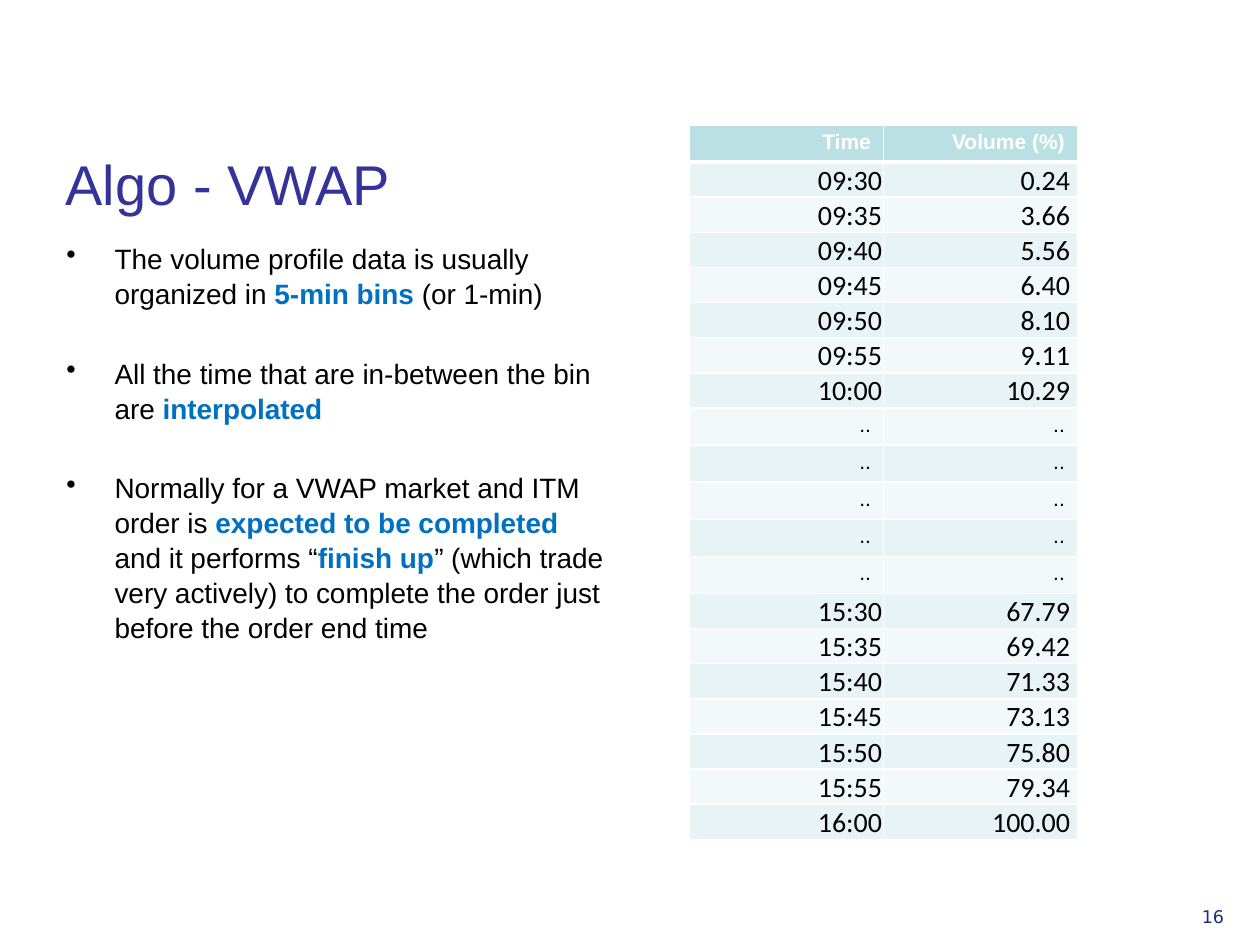
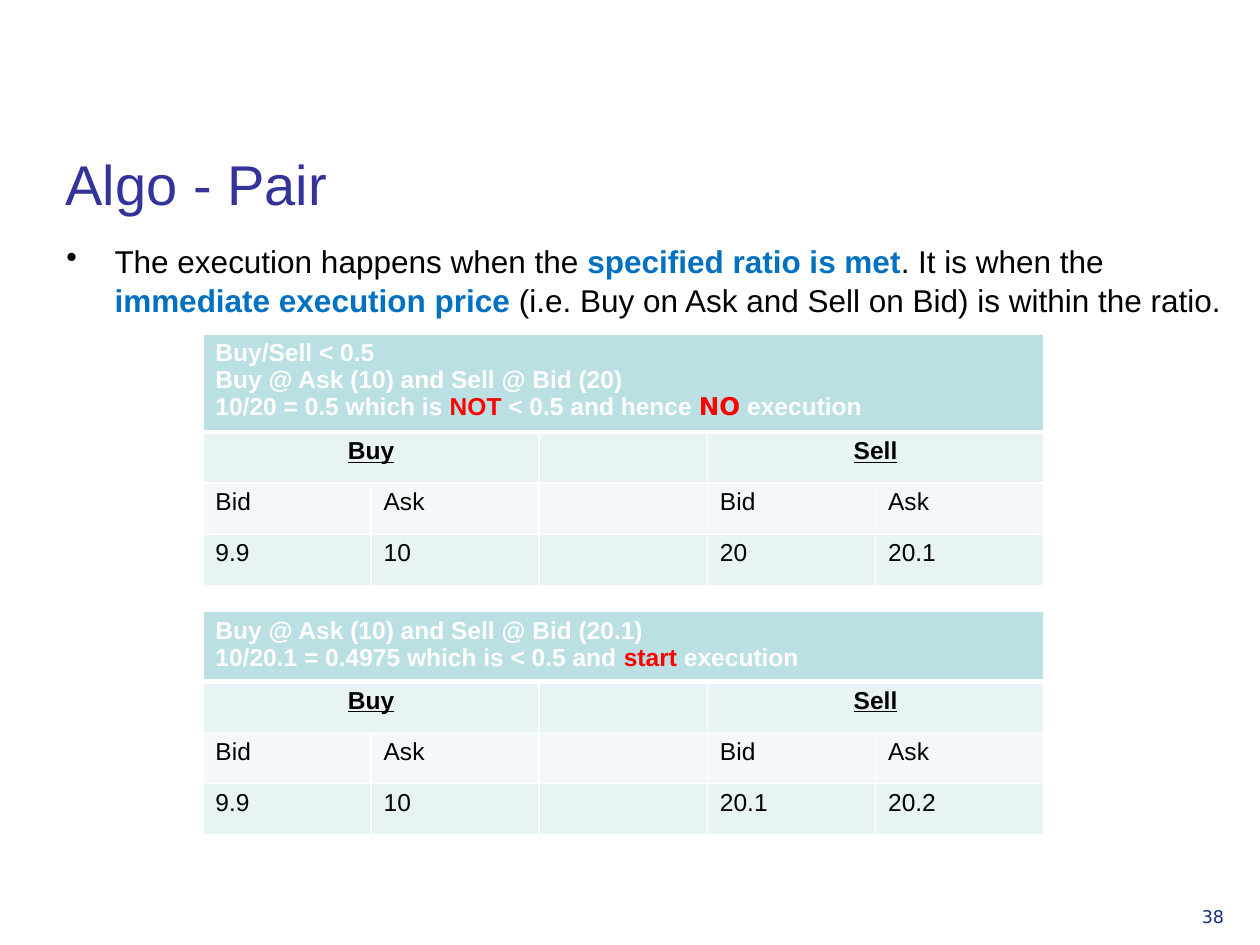
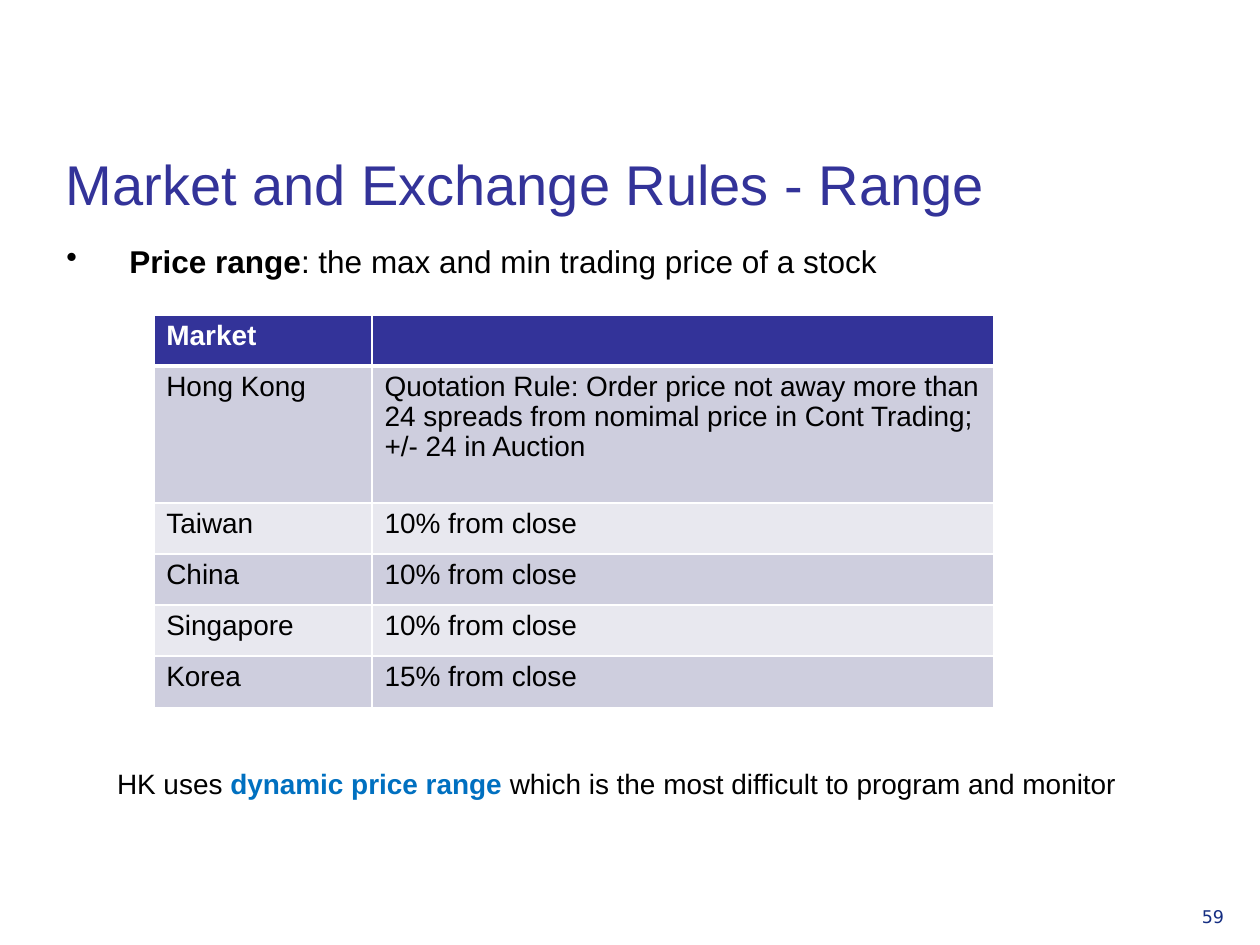
"""Build three slides on trading algorithms and market rules."""
from lxml.etree import SubElement
from pptx import Presentation
from pptx.dml.color import RGBColor
from pptx.enum.text import MSO_ANCHOR as Anchor, PP_ALIGN as Align
from pptx.oxml.ns import qn
from pptx.util import Cm, Pt

WHITE = RGBColor(0xFF, 0xFF, 0xFF)
BLACK = RGBColor(0, 0, 0)
INDIGO = RGBColor(0x33, 0x33, 0x99)
BLUE = RGBColor(0x00, 0x70, 0xC0)
RED = RGBColor(0xFF, 0, 0)
NAVY = RGBColor(0x15, 0x2E, 0x82)
TEAL = (RGBColor(0xBB, 0xE0, 0xE3), RGBColor(0xE7, 0xF3, 0xF4), RGBColor(0xF3, 0xF9, 0xFA))
VIOLET = (INDIGO, RGBColor(0xCE, 0xCE, 0xDE), RGBColor(0xE8, 0xE8, 0xEF))
SANS = "Arial"
NUMERIC = "Calibri"
WIDE = "DejaVu Sans"
ROW = 1.03


def set_font(p, size, color=BLACK, bold=False, name=SANS):
    """Set the font shared by the runs of a paragraph."""
    p.font.size = Pt(size)
    p.font.color.rgb = color
    p.font.bold = bold
    p.font.name = name


def write(p, parts, size, color=BLACK, bold=False, name=SANS):
    """Fill a paragraph with plain strings and (text, colour, font) emphasis."""
    set_font(p, size, color, bold, name)
    for part in [parts] if isinstance(parts, str) else parts:
        r = p.add_run()
        if isinstance(part, str):
            r.text = part
            continue
        r.text, r.font.color.rgb = part[:2]
        r.font.bold = True
        if len(part) > 2:
            r.font.name = part[2]


def add_text(s, left, top, width, height, wrap=True):
    """Add a text box and return its text frame."""
    tf = s.shapes.add_textbox(Cm(left), Cm(top), Cm(width), Cm(height)).text_frame
    tf.word_wrap = wrap
    return tf


def add_slide(prs, title, number):
    """Add a slide with its title and page number."""
    s = prs.slides.add_slide(prs.slide_layouts[5])
    sp = s.shapes.title
    sp.left, sp.top, sp.width, sp.height = Cm(1.07), Cm(1.73), Cm(22.43), Cm(2.77)
    tf = sp.text_frame
    tf.vertical_anchor = Anchor.BOTTOM
    p = tf.paragraphs[0]
    p.alignment = Align.LEFT
    write(p, title, 32, INDIGO)
    tf = add_text(s, 23.98, 18.14, 1.4, 0.99)
    write(tf.paragraphs[0], str(number), 10, NAVY, name=WIDE)
    return s


def add_bullets(s, items, size, width, height, indent=0.97):
    """Add a bulleted list below the title."""
    tf = add_text(s, 1.09, 4.72, width, height)
    for i, parts in enumerate(items):
        p = tf.add_paragraph() if i else tf.paragraphs[0]
        p.line_spacing = 1.04
        if i:
            p.space_before = Pt(25.6)
        write(p, parts, size)
        pPr = p._p.get_or_add_pPr()
        pPr.set("marL", str(Cm(indent)))
        pPr.set("indent", str(-Cm(indent)))
        bullet = pPr.makeelement(qn("a:buChar"), {"char": "•"})
        pPr.find(qn("a:defRPr")).addprevious(bullet)


def set_borders(cell, row):
    """Draw white cell borders, with a thick rule under the header row."""
    tcPr = cell._tc.get_or_add_tcPr()
    widths = {"L": 1, "R": 1, "T": 3 if row == 1 else 1, "B": 3 if row == 0 else 1}
    for side, width in widths.items():
        ln = SubElement(tcPr, qn(f"a:ln{side}"), w=str(Pt(width)))
        SubElement(SubElement(ln, qn("a:solidFill")), qn("a:srgbClr"), val=str(WHITE))


def add_table(s, left, top, widths, heights, colors):
    """Add an empty table with a header fill and two alternating row fills."""
    tbl = s.shapes.add_table(len(heights), len(widths), Cm(left), Cm(top),
                             Cm(sum(widths)), Cm(sum(heights))).table
    for col, width in zip(tbl.columns, widths):
        col.width = Cm(width)
    for i, (row, height) in enumerate(zip(tbl.rows, heights)):
        row.height = Cm(height)
        for cell in row.cells:
            set_borders(cell, i)
            cell.fill.solid()
            cell.fill.fore_color.rgb = colors[0] if i == 0 else colors[2 - i % 2]
    return tbl


def write_cell(cell, lines, size, color=BLACK, bold=False, name=SANS, align=Align.LEFT):
    """Write one paragraph per line into a table cell."""
    tf = cell.text_frame
    for i, parts in enumerate(lines):
        p = tf.add_paragraph() if i else tf.paragraphs[0]
        p.alignment = align
        p.line_spacing = 0.97
        write(p, parts, size, color, bold, name)


def add_volume_table(s, rows):
    """Add the cumulative volume profile by time bin."""
    tbl = add_table(s, 13.9, 2.52, [3.91] * 2, [0.66] * (len(rows) + 1), TEAL)
    for j, head in enumerate(("Time", "Volume (%)")):
        write_cell(tbl.cell(0, j), [head], 12, WHITE, True, align=Align.RIGHT)
    for i, values in enumerate(rows, 1):
        for j, value in enumerate(values):
            cell = tbl.cell(i, j)
            if value == "..":
                write_cell(cell, [value], 12, align=Align.RIGHT)
                continue
            cell.vertical_anchor = Anchor.BOTTOM
            cell.margin_left = cell.margin_top = Cm(0.03)
            cell.margin_bottom = 0
            cell.margin_right = Cm((0.03, 0.15)[j])
            p = cell.text_frame.paragraphs[0]
            p.alignment = Align.RIGHT
            write(p, value, 16, name=NUMERIC)


def add_quote_table(s, top, head_height, head, prices):
    """Add the bid and ask quotes of a pair under an explanation."""
    tbl = add_table(s, 4.09, top, [3.39] * 5, [head_height] + [ROW] * 3, TEAL)
    tbl.cell(0, 0).merge(tbl.cell(0, 4))
    write_cell(tbl.cell(0, 0), head, 14, WHITE, True)
    for j, side in ((0, "Buy"), (3, "Sell")):
        cell = tbl.cell(1, j)
        cell.merge(tbl.cell(1, j + 1))
        write_cell(cell, [side], 14, bold=True, align=Align.CENTER)
        cell.text_frame.paragraphs[0].font.underline = True
    for j, label, price in zip((0, 1, 3, 4), ("Bid", "Ask") * 2, prices):
        write_cell(tbl.cell(2, j), [label], 14)
        write_cell(tbl.cell(3, j), [price], 14)


def add_range_table(s, rules):
    """Add the price range rule of each market."""
    tbl = add_table(s, 3.1, 6.35, [4.4, 12.53], [ROW, 2.76] + [ROW] * 4, VIOLET)
    write_cell(tbl.cell(0, 0), ["Market"], 16, WHITE, True)
    for i, texts in enumerate(rules, 1):
        for j, text in enumerate(texts):
            write_cell(tbl.cell(i, j), [text], 16)


def build_vwap(prs):
    """Build the VWAP slide."""
    s = add_slide(prs, "Algo - VWAP", 16)
    add_bullets(s, [
        ["The volume profile data is usually organized in ", ("5-min bins", BLUE),
         " (or 1-min)"],
        ["All the time that are in-between the bin are ", ("interpolated", BLUE)],
        ["Normally for a VWAP market and ITM order is ",
         ("expected to be completed ", BLUE), "and it performs “", ("finish up", BLUE),
         "” (which trade very actively) to complete the order just before the order "
         "end time"],
    ], 16, 11.4, 8.79)
    opening = [("09:30", "0.24"), ("09:35", "3.66"), ("09:40", "5.56"), ("09:45", "6.40"),
               ("09:50", "8.10"), ("09:55", "9.11"), ("10:00", "10.29")]
    closing = [("15:30", "67.79"), ("15:35", "69.42"), ("15:40", "71.33"),
               ("15:45", "73.13"), ("15:50", "75.80"), ("15:55", "79.34"),
               ("16:00", "100.00")]
    add_volume_table(s, opening + [("..", "..")] * 5 + closing)


def build_pair(prs):
    """Build the pair trading slide."""
    s = add_slide(prs, "Algo - Pair", 38)
    add_bullets(s, [
        ["The execution happens when the ", ("specified ratio is met", BLUE),
         ". It is when the ", ("immediate execution price ", BLUE),
         "(i.e. Buy on Ask and Sell on Bid) is within the ratio."],
    ], 18, 24, 2.79)
    add_quote_table(s, 12.33, 1.37, [
        "Buy @ Ask (10) and Sell @ Bid (20.1)",
        ["10/20.1 = 0.4975 which is < 0.5 and ", ("start", RED), " execution"],
    ], ("9.9", "10", "20.1", "20.2"))
    add_quote_table(s, 6.73, 1.93, [
        "Buy/Sell < 0.5",
        "Buy @ Ask (10) and Sell @ Bid (20)",
        ["10/20 = 0.5 which is ", ("NOT", RED), " < 0.5 and hence ", ("NO", RED, WIDE),
         " execution"],
    ], ("9.9", "10", "20", "20.1"))


def build_range(prs):
    """Build the price range slide."""
    s = add_slide(prs, "Market and Exchange Rules - Range", 59)
    add_bullets(s, [
        [("Price range", BLACK), ": the max and min trading price of a stock"],
    ], 18, 24, 13, 1.27)
    add_range_table(s, [
        ("Hong Kong", "Quotation Rule: Order price not away more than 24 spreads from "
                      "nomimal price in Cont Trading; +/- 24 in Auction"),
        ("Taiwan", "10% from close"),
        ("China", "10% from close"),
        ("Singapore", "10% from close"),
        ("Korea", "15% from close"),
    ])
    tf = add_text(s, 2.11, 15.32, 20.9, 0.94, wrap=False)
    write(tf.paragraphs[0], ["HK uses ", ("dynamic price range ", BLUE),
                             "which is the most difficult to program and monitor"], 16)


def main():
    """Build and save the presentation."""
    prs = Presentation()
    prs.slide_width, prs.slide_height = Cm(25.4), Cm(19.05)
    build_vwap(prs)
    build_pair(prs)
    build_range(prs)
    prs.save("out.pptx")


if __name__ == "__main__":
    main()
